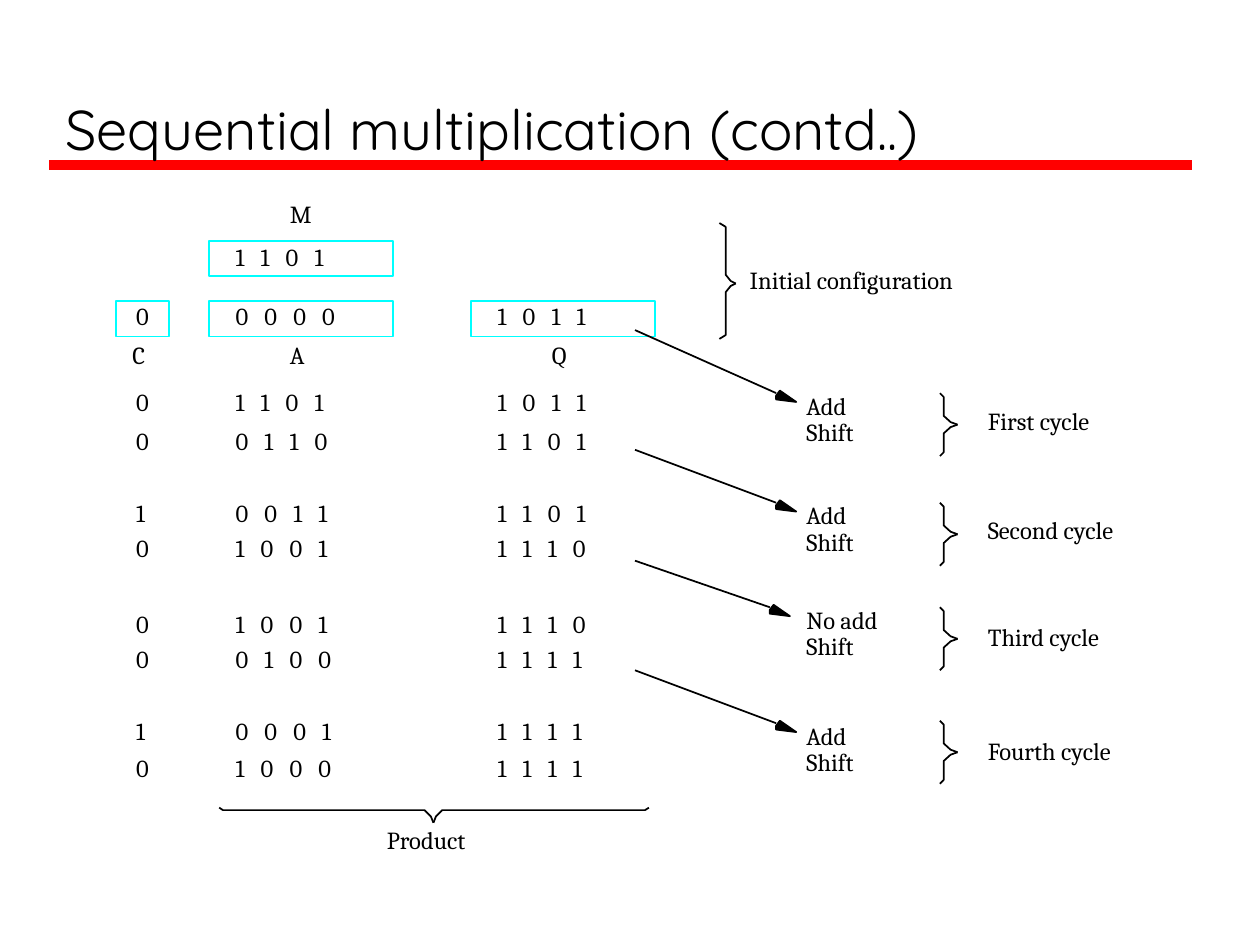
from pptx import Presentation
from pptx.dml.color import RGBColor
from pptx.enum.shapes import MSO_CONNECTOR, MSO_SHAPE
from pptx.enum.text import MSO_ANCHOR, MSO_AUTO_SIZE
from pptx.oxml.ns import qn
from pptx.util import Inches, Pt
from lxml import etree

LINE = MSO_CONNECTOR.STRAIGHT
RECT = MSO_SHAPE.RECTANGLE
BOTTOM = MSO_ANCHOR.BOTTOM
FIT = MSO_AUTO_SIZE.SHAPE_TO_FIT_TEXT
COLORS = {"ink": "000000", "rule": "FF0000", "register": "00FFFF"}

C_X, A_X, Q_X = 1.08, 1.87, 3.95
STEP_X, BRACE_X, NAME_X = 6.4, 7.46, 7.84
BITS_W, DIGIT_W = 0.92, 0.11

LABELS = [
    ("M", 2.3, 1.58, 0.16), ("C", 1.05, 2.7, 0.14), ("A", 2.3, 2.7, 0.13),
    ("Q", 4.38, 2.7, 0.15), ("Initial configuration", 5.95, 2.1, 1.63),
    ("Product", 3.07, 6.55, 0.67),
]
REGISTERS = [(1.66, 1.91, 1.46), (0.92, 2.39, 0.42), (1.66, 2.39, 1.46), (3.74, 2.39, 1.46)]
ROWS = [
    (2.39, "0", "0 0 0 0", "1 0 1 1"),
    (3.07, "0", "1 1 0 1", "1 0 1 1"),
    (3.38, "0", "0 1 1 0", "1 1 0 1"),
    (3.95, "1", "0 0 1 1", "1 1 0 1"),
    (4.23, "0", "1 0 0 1", "1 1 1 0"),
    (4.83, "0", "1 0 0 1", "1 1 1 0"),
    (5.11, "0", "0 1 0 0", "1 1 1 1"),
    (5.68, "1", "0 0 0 1", "1 1 1 1"),
    (5.98, "0", "1 0 0 0", "1 1 1 1"),
]
CYCLES = [
    ("First cycle", 0.88, 3.22, "Add", 0.35, 3.1, 3.12, 6.16, 2.62),
    ("Second cycle", 1.17, 4.09, "Add", 0.35, 3.97, 3.99, 6.16, 3.57),
    ("Third cycle", 0.95, 4.94, "No add", 0.63, 4.8, 4.82, 6.11, 4.45),
    ("Fourth cycle", 1.07, 5.84, "Add", 0.35, 5.72, 5.72, 6.16, 5.32),
]


class Board:
    """Draws the elements of the slide in one shared style."""

    def __init__(self, slide):
        self.shapes = slide.shapes
        self.font, self.size = "Cambria", 14

    def color(self, name):
        return RGBColor.from_string(COLORS[name])

    def outline(self, sp, color="ink", width=1):
        sp.line.color.rgb = self.color(color)
        sp.line.width = Pt(width)

    def set_text(self, p, text, font, size):
        p.text = text
        p.font.name = font
        p.font.size = Pt(size)
        p.font.color.rgb = self.color("ink")

    def title(self, text):
        sp = self.shapes.add_textbox(Inches(0.42), Inches(0.08), Inches(9.08), Inches(1.25))
        tf = sp.text_frame
        tf.word_wrap = True
        tf.vertical_anchor = BOTTOM
        self.set_text(tf.paragraphs[0], text, "Quicksand", 32)

    def label(self, text, x, y, w):
        sp = self.shapes.add_textbox(Inches(x), Inches(y), Inches(w), Inches(0.24))
        tf = sp.text_frame
        tf.margin_left = tf.margin_right = tf.margin_top = tf.margin_bottom = 0
        tf.word_wrap = False
        tf.auto_size = FIT
        p = tf.paragraphs[0]
        self.set_text(p, text, self.font, self.size)
        return p

    def bits(self, text, x, y):
        p = self.label(text, x, y, BITS_W)
        r = p.runs[0]
        r._r.get_or_add_rPr().set("spc", "310")

    def register(self, x, y, w):
        sp = self.shapes.add_shape(RECT, Inches(x), Inches(y), Inches(w), Inches(0.28))
        sp.shadow.inherit = False
        sp.fill.background()
        self.outline(sp, "register")

    def line(self, x1, y1, x2, y2, color="ink", width=1):
        sp = self.shapes.add_connector(LINE, Inches(x1), Inches(y1), Inches(x2), Inches(y2))
        self.outline(sp, color, width)
        etree.SubElement(sp._element.spPr, qn("a:effectLst"))

    def outline_points(self, points, filled=False):
        pts = [(Inches(x), Inches(y)) for x, y in points]
        builder = self.shapes.build_freeform(*pts[0])
        builder.add_line_segments(pts[1:], close=filled)
        sp = builder.convert_to_shape()
        sp.shadow.inherit = False
        if filled:
            sp.fill.solid()
            sp.fill.fore_color.rgb = self.color("ink")
        else:
            sp.fill.background()
        self.outline(sp)

    def arrow(self, x1, y1, x2, top):
        self.line(x1, y1, x2, top + 0.02)
        head = [(0, 0.07), (0.16, 0.09), (0.03, 0), (0, 0.04)]
        self.outline_points([(x2 + dx, top + dy) for dx, dy in head], filled=True)

    def brace(self, start, middle, end, base, spine, tip, across=False):
        for edge, sign in ((start, 1), (end, -1)):
            half = [(base, edge), (spine, edge + sign * 0.03), (spine, middle - sign * 0.07),
                    ((spine + tip) / 2, middle - sign * 0.02), (tip, middle)]
            self.outline_points([(b, a) if across else (a, b) for a, b in half])


def main():
    prs = Presentation()
    prs.slide_width, prs.slide_height = Inches(10), Inches(7.5)
    board = Board(prs.slides.add_slide(prs.slide_layouts[6]))

    board.line(0.39, 1.31, 9.46, 1.31, "rule", 6)
    board.title("Sequential multiplication (contd..)")
    for register in REGISTERS:
        board.register(*register)
    for label in LABELS:
        board.label(*label)
    board.bits("1 1 0 1", A_X, 1.92)
    for y, c, a, q in ROWS:
        board.label(c, C_X, y, DIGIT_W)
        board.bits(a, A_X, y)
        board.bits(q, Q_X, y)

    board.brace(1.77, 2.25, 2.69, 5.71, 5.76, 5.84)
    board.brace(1.74, 3.44, 5.15, 6.41, 6.43, 6.53, across=True)
    for name, name_w, name_y, step, step_w, step_y, top, head_x, tail_y in CYCLES:
        board.label(step, STEP_X, step_y, step_w)
        board.label("Shift", STEP_X, step_y + 0.21, 0.39)
        board.label(name, NAME_X, name_y, name_w)
        board.brace(top, top + 0.25, top + 0.5, BRACE_X, BRACE_X + 0.03, BRACE_X + 0.14)
        board.arrow(5.04, tail_y, head_x, step_y)
    prs.save("out.pptx")


if __name__ == "__main__":
    main()
